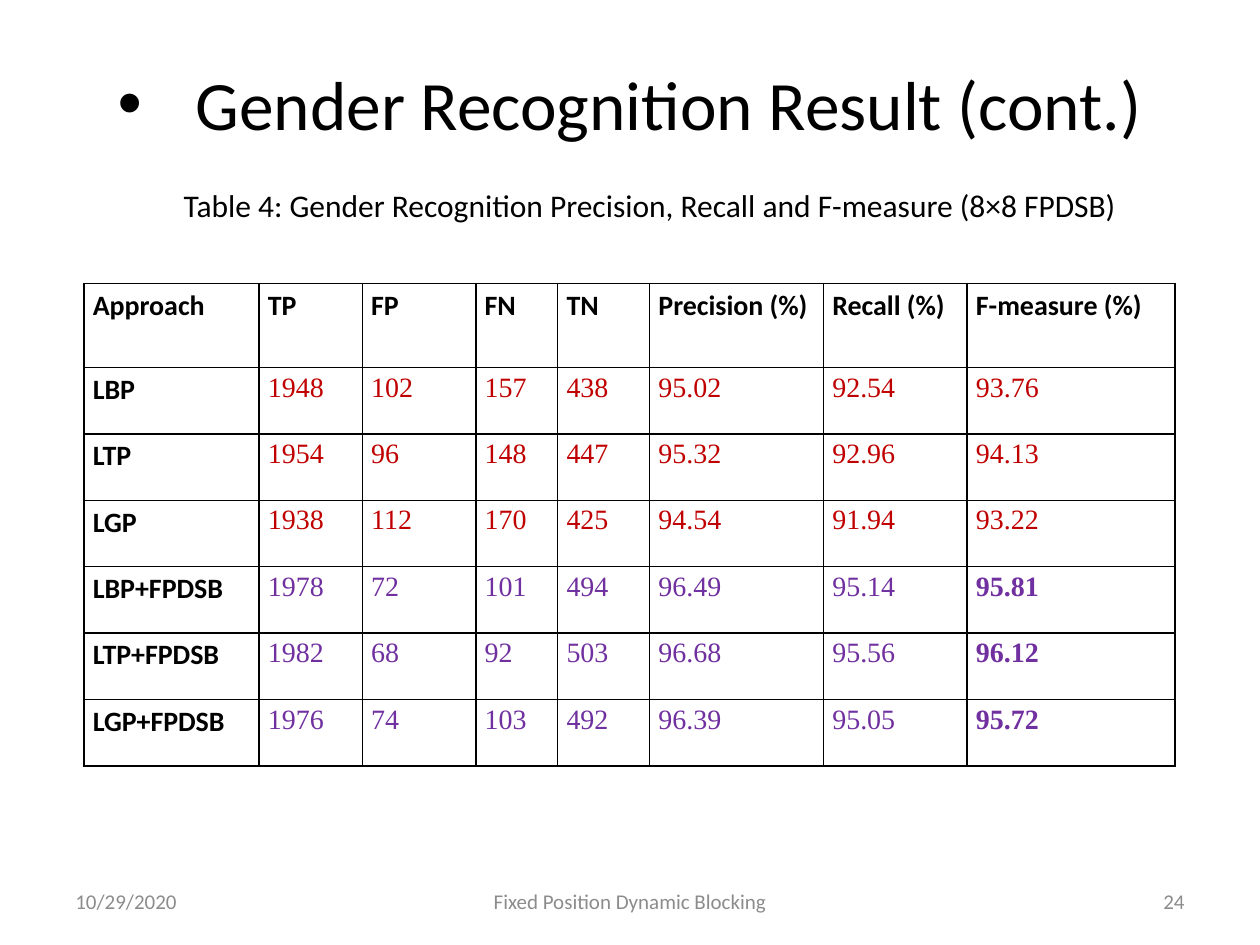
"""Build the gender recognition results slide with its table and footer."""
from lxml import etree
from pptx import Presentation
from pptx import util as u
from pptx.dml.color import RGBColor
from pptx.enum import text as t
from pptx.oxml import ns

presentation = Presentation()
presentation.slide_width, presentation.slide_height = u.Inches(10), u.Inches(7.5)
slide = presentation.slides.add_slide(presentation.slide_layouts[6])
column, row = presentation.slide_width / 100, presentation.slide_height / 100
black, grey, red, purple = "000000", "8C8C8C", "C00000", "7030A0"
align = t.PP_ALIGN


def format_paragraph(paragraph, size, color, alignment, font="Calibri", bold=False):
    paragraph.alignment = alignment
    for run in paragraph.runs:
        run.font.name, run.font.size, run.font.bold = font, u.Pt(size), bold
        run.font.color.rgb = RGBColor.from_string(color)


def add_text(wording, left, top, width, height, size, color, alignment):
    shape = slide.shapes.add_textbox(
        round(left * column), round(top * row), round(width * column), round(height * row))
    shape.text_frame.word_wrap = True
    shape.text_frame.vertical_anchor = t.MSO_ANCHOR.MIDDLE
    shape.text_frame.text = wording
    format_paragraph(shape.text_frame.paragraphs[0], size, color, alignment)
    return shape


title = add_text("Gender Recognition Result (cont.)", 5, 4, 90, 13.75, 39.6, black, align.CENTER)
properties = title.text_frame.paragraphs[0]._p.get_or_add_pPr()
properties.set("marL", str(u.Inches(0.62)))
properties.set("indent", str(u.Inches(-0.62)))
etree.SubElement(properties, ns.qn("a:buFont"), typeface="Arial")
etree.SubElement(properties, ns.qn("a:buChar"), char="•")

caption = add_text("Table 4: Gender Recognition Precision, Recall and F-measure (8×8 FPDSB)",
                   13.6, 19.07, 76.4, 5.33, 18, black, align.LEFT)
caption.text_frame.word_wrap = False
caption.text_frame.auto_size = t.MSO_AUTO_SIZE.SHAPE_TO_FIT_TEXT
caption.text_frame.vertical_anchor = t.MSO_ANCHOR.TOP

for wording, left, width, alignment in [
    ("10/29/2020", 5, 23.33, align.LEFT),
    ("Fixed Position Dynamic Blocking", 34.17, 31.67, align.CENTER),
    ("24", 71.67, 23.33, align.RIGHT),
]:
    add_text(wording, left, 92.67, width, 5.33, 12, grey, alignment)

results = [
    ["Approach", "TP", "FP", "FN", "TN", "Precision (%)", "Recall (%)", "F-measure (%)"],
    ["LBP", "1948", "102", "157", "438", "95.02", "92.54", "93.76"],
    ["LTP", "1954", "96", "148", "447", "95.32", "92.96", "94.13"],
    ["LGP", "1938", "112", "170", "425", "94.54", "91.94", "93.22"],
    ["LBP+FPDSB", "1978", "72", "101", "494", "96.49", "95.14", "95.81"],
    ["LTP+FPDSB", "1982", "68", "92", "503", "96.68", "95.56", "96.12"],
    ["LGP+FPDSB", "1976", "74", "103", "492", "96.39", "95.05", "95.72"],
]
column_shares = [13.9, 8.2, 9, 6.5, 7.3, 13.8, 11.4, 16.5]
row_shares = [8.89] + [7.03] * 6
table = slide.shapes.add_table(
    len(results), len(column_shares), round(6.67 * column), round(30 * row),
    round(sum(column_shares) * column), round(sum(row_shares) * row)).table
table.first_row = table.horz_banding = False
for table_column, share in zip(table.columns, column_shares):
    table_column.width = round(share * column)
for table_row, share in zip(table.rows, row_shares):
    table_row.height = round(share * row)

for row_index, values in enumerate(results):
    for column_index, value in enumerate(values):
        cell = table.cell(row_index, column_index)
        cell.margin_left = cell.margin_right = u.Inches(0.07)
        cell.margin_top = cell.margin_bottom = 0
        cell.text_frame.text = value
        paragraph = cell.text_frame.paragraphs[0]
        paragraph.line_spacing = 1.15
        is_label = row_index == 0 or column_index == 0
        with_blocking = values[0].endswith("FPDSB")
        color = black if is_label else purple if with_blocking else red
        font = "Calibri" if is_label else "Times New Roman"
        bold = is_label or (with_blocking and column_index == len(values) - 1)
        format_paragraph(paragraph, 16, color, align.JUSTIFY, font, bold)
        cell_properties = cell._tc.get_or_add_tcPr()
        for side in ("lnL", "lnR", "lnT", "lnB"):
            border = etree.SubElement(cell_properties, ns.qn(f"a:{side}"), w=str(u.Pt(1)))
            fill = etree.SubElement(border, ns.qn("a:solidFill"))
            etree.SubElement(fill, ns.qn("a:srgbClr"), val=black)
        cell.fill.background()

presentation.save("out.pptx")
